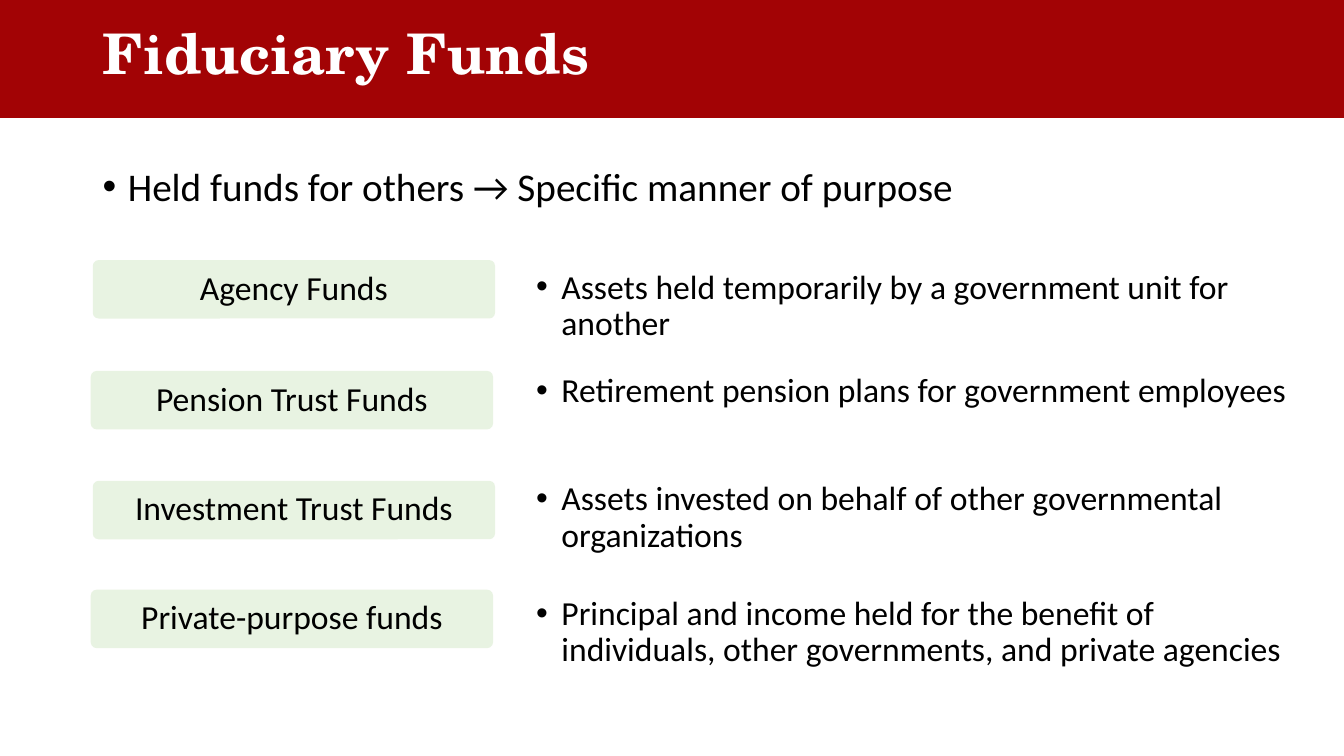
"""Build the Fiduciary Funds slide."""
from lxml import etree
from pptx import Presentation
from pptx import util as u
from pptx.dml.color import RGBColor
from pptx.enum import shapes, text
from pptx.oxml.ns import qn

RED = RGBColor(0xA2, 0x03, 0x05)
GREEN = RGBColor(0xC5, 0xE0, 0xB4)
BLACK = RGBColor(0, 0, 0)
WHITE = RGBColor(0xFF, 0xFF, 0xFF)

FUNDS = [
    ("Agency Funds", (0.92, 2.58), 2.63,
     "Assets held temporarily by a government unit for another"),
    ("Pension Trust Funds", (0.9, 3.68), 3.66,
     "Retirement pension plans for government employees"),
    ("Investment Trust Funds", (0.92, 4.77), 4.73,
     "Assets invested on behalf of other governmental organizations"),
    ("Private-purpose funds", (0.9, 5.85), 5.87,
     "Principal and income held for the benefit of individuals, "
     "other governments, and private agencies"),
]


def inches(box):
    """Convert a box of numbers to lengths."""
    return [u.Inches(length) for length in box]


def write(paragraph, wording, size, color=BLACK, font="Calibri", bold=False):
    """Add one formatted run to a paragraph."""
    paragraph.line_spacing = 0.9
    run = paragraph.add_run()
    run.text = wording
    run.font.size = u.Pt(size)
    run.font.name = font
    run.font.bold = bold
    run.font.color.rgb = color


def add_header(slide, box, wording):
    """Draw the red band and put the title over it."""
    left, top, width, height = box
    band = slide.shapes.add_shape(shapes.MSO_SHAPE.RECTANGLE, *inches(box))
    band.shadow.inherit = False
    band.fill.solid()
    band.fill.fore_color.rgb = RED
    band.line.color.rgb = RED
    band.line.width = u.Pt(1)

    title = slide.shapes.title
    title.element.addprevious(band.element)
    title.left, title.top, title.width, title.height = inches(
        (left + 0.92, top + 0.12, width - 1.83, height))
    frame = title.text_frame
    frame.auto_size = text.MSO_AUTO_SIZE.NONE
    frame.vertical_anchor = text.MSO_ANCHOR.MIDDLE
    heading = frame.paragraphs[0]
    heading.alignment = text.PP_ALIGN.LEFT
    write(heading, wording, 40, WHITE, "TeX Gyre Schola", True)


def add_bullet(slide, box, wording, size):
    """Add a text box with one bulleted paragraph."""
    frame = slide.shapes.add_textbox(*inches(box)).text_frame
    frame.word_wrap = True
    point = frame.paragraphs[0]
    point.space_before = u.Pt(10)
    write(point, wording, size)
    properties = point._p.get_or_add_pPr()
    properties.set("marL", str(u.Inches(0.25)))
    properties.set("indent", str(u.Inches(-0.25)))
    etree.SubElement(properties, qn("a:buFont")).set("typeface", "Arial")
    etree.SubElement(properties, qn("a:buChar")).set("char", "•")


def add_label(slide, box, wording):
    """Add a translucent rounded label."""
    label = slide.shapes.add_shape(
        shapes.MSO_SHAPE.ROUNDED_RECTANGLE, *inches(box))
    label.adjustments[0] = 0.1
    label.shadow.inherit = False
    label.line.fill.background()
    label.fill.solid()
    label.fill.fore_color.rgb = GREEN
    tint = label.fill._xPr.find(qn("a:solidFill")).find(qn("a:srgbClr"))
    etree.SubElement(tint, qn("a:alpha")).set("val", "38000")
    frame = label.text_frame
    frame.word_wrap = True
    frame.vertical_anchor = text.MSO_ANCHOR.MIDDLE
    frame.margin_left = frame.margin_right = u.Inches(0.02)
    frame.margin_top = frame.margin_bottom = u.Inches(0.02)
    name = frame.paragraphs[0]
    name.alignment = text.PP_ALIGN.CENTER
    write(name, wording, 24)


def main():
    """Build and save the presentation."""
    deck = Presentation()
    deck.slide_width, deck.slide_height = inches((13.33, 7.5))
    slide = deck.slides.add_slide(deck.slide_layouts.get_by_name("Title Only"))
    add_header(slide, (0, -0.29, 13.33, 1.45), "Fiduciary Funds")
    add_bullet(slide, (0.92, 1.61, 11.5, 0.58),
               "Held funds for others → Specific manner of purpose", 28)
    for fund, corner, meaning_top, meaning in FUNDS:
        add_label(slide, (*corner, 3.99, 0.58), fund)
        add_bullet(slide, (5.22, meaning_top, 7.64, 0.58), meaning, 24)
    deck.save("out.pptx")


if __name__ == "__main__":
    main()
